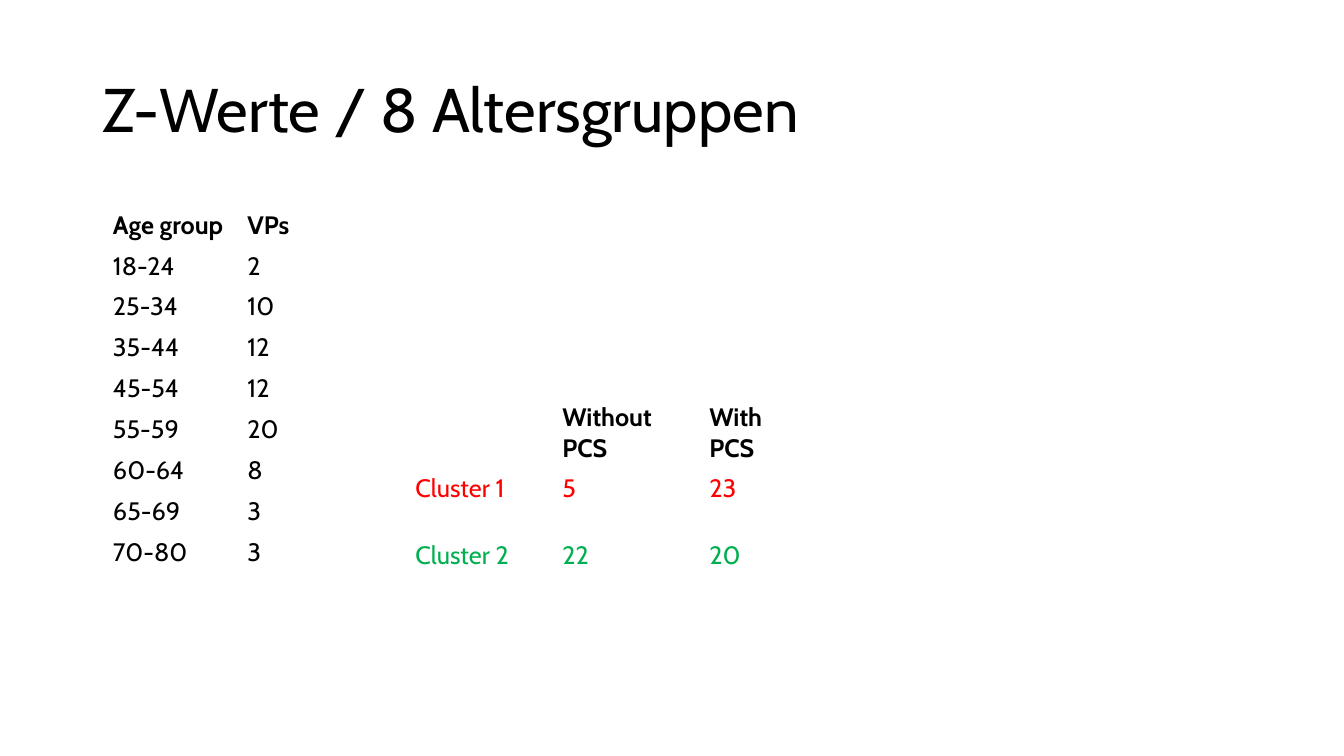
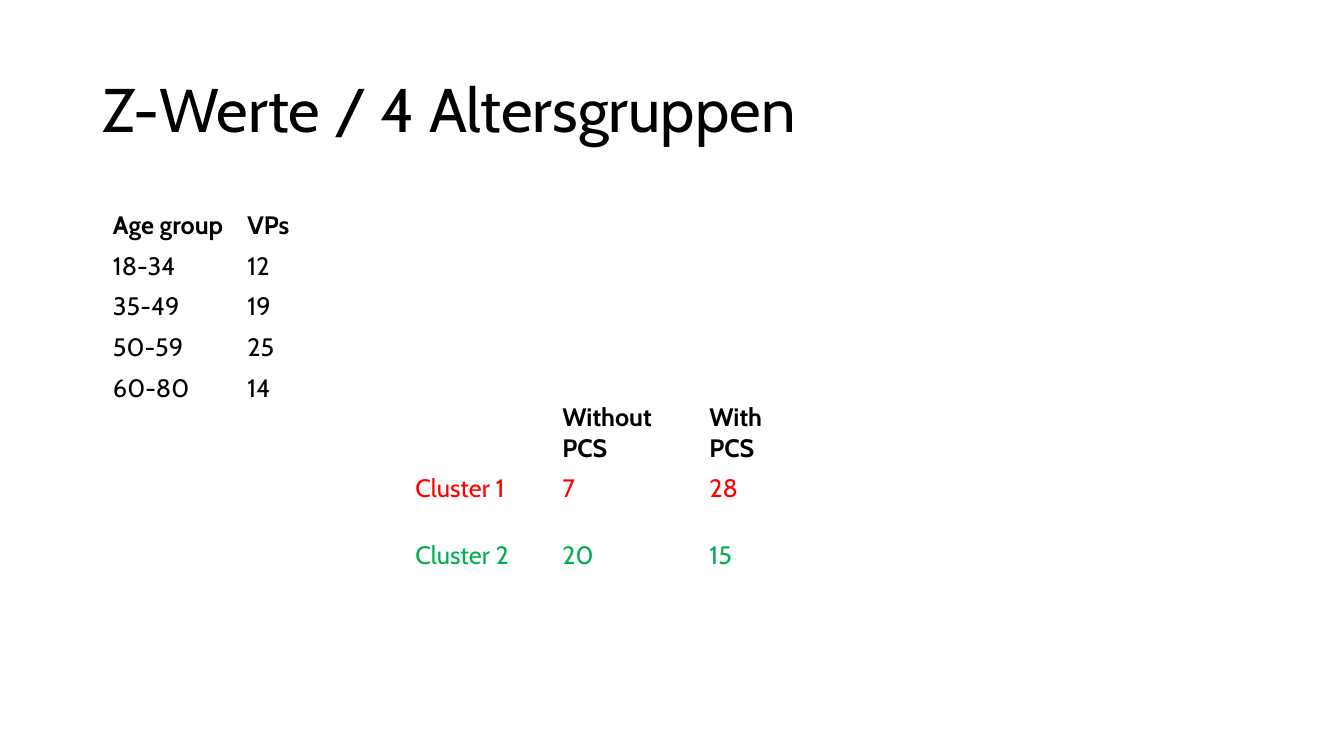
"""Build two slides comparing cluster counts for two age groupings."""
from dataclasses import dataclass

from pptx import Presentation
from pptx import slide as slides
from pptx import util as u
from pptx.dml import color
from pptx.enum import text
from pptx.text import text as texts

PX = 9525
FONT = "Cabin"
COLORS = {"ink": "000000", "cluster_1": "FF0000", "cluster_2": "00B050"}
CLUSTER_HEADER = ("", "Without\nPCS", "With\nPCS")
AGE_HEADER = ("Age group", "VPs")


@dataclass(frozen=True)
class Grid:
    """Position, column widths and row height of a table, in px."""

    left: int
    top: int
    columns: tuple[int, ...]
    row_height: int


@dataclass(frozen=True)
class Row:
    """Cell texts of one table row with their colour and weight."""

    cells: tuple[str, ...]
    ink: str = "ink"
    bold: bool = False


@dataclass(frozen=True)
class Grouping:
    """Title, age groups and cluster counts of one slide."""

    title: str
    ages: tuple[tuple[str, int], ...]
    clusters: tuple[tuple[int, int], ...]


CLUSTER_GRID = Grid(386, 378, (140, 140, 140), 63)
AGE_GRID = Grid(98, 195, (128, 63), 39)

GROUPINGS = (
    Grouping(
        "Z-Werte / 8 Altersgruppen",
        (("18-24", 2), ("25-34", 10), ("35-44", 12), ("45-54", 12),
         ("55-59", 20), ("60-64", 8), ("65-69", 3), ("70-80", 3)),
        ((5, 23), (22, 20)),
    ),
    Grouping(
        "Z-Werte / 4 Altersgruppen",
        (("18-34", 12), ("35-49", 19), ("50-59", 25), ("60-80", 14)),
        ((7, 28), (20, 15)),
    ),
)


def px(length: int) -> u.Emu:
    """Turn px into EMU."""
    return u.Emu(length * PX)


def write(para: texts._Paragraph, words: str, size: int,
          ink: str = "ink", bold: bool = False) -> None:
    """Add words to a paragraph, one run per line."""
    for number, line in enumerate(words.split("\n")):
        if number:
            para.add_line_break()
        span = para.add_run()
        span.text = line
        span.font.name = FONT
        span.font.size = u.Pt(size)
        span.font.bold = bold
        span.font.color.rgb = color.RGBColor.from_string(COLORS[ink])


def draw_title(page: slides.Slide, words: str) -> None:
    """Place and format the title placeholder."""
    box = page.shapes.title
    box.left, box.top, box.width, box.height = map(px, (88, 38, 1104, 139))
    frame = box.text_frame
    frame.auto_size = text.MSO_AUTO_SIZE.NONE
    frame.vertical_anchor = text.MSO_ANCHOR.MIDDLE
    para = frame.paragraphs[0]
    para.alignment = text.PP_ALIGN.LEFT
    para.line_spacing = 0.9
    write(para, words, 44)


def draw_table(page: slides.Slide, grid: Grid, rows: list[Row]) -> None:
    """Draw an unfilled table with one header row."""
    table = page.shapes.add_table(
        len(rows), len(grid.columns), px(grid.left), px(grid.top),
        px(sum(grid.columns)), px(grid.row_height * len(rows))).table
    table.horz_banding = False
    for column, width in zip(table.columns, grid.columns):
        column.width = px(width)
    for table_row, row in zip(table.rows, rows):
        table_row.height = px(grid.row_height)
        for cell, words in zip(table_row.cells, row.cells):
            cell.fill.background()
            if words:
                write(cell.text_frame.paragraphs[0], words, 18, row.ink, row.bold)


def draw_grouping(page: slides.Slide, grouping: Grouping) -> None:
    """Draw the title and both tables of one slide."""
    draw_title(page, grouping.title)
    clusters = [
        Row((f"Cluster {number}", *map(str, counts)), f"cluster_{number}")
        for number, counts in enumerate(grouping.clusters, 1)
    ]
    draw_table(page, CLUSTER_GRID, [Row(CLUSTER_HEADER, bold=True), *clusters])
    ages = [Row((group, str(count))) for group, count in grouping.ages]
    draw_table(page, AGE_GRID, [Row(AGE_HEADER, bold=True), *ages])


def main() -> None:
    """Build and save the deck."""
    deck = Presentation()
    deck.slide_width, deck.slide_height = px(1280), px(720)
    title_only = deck.slide_layouts.get_by_name("Title Only")
    for grouping in GROUPINGS:
        draw_grouping(deck.slides.add_slide(title_only), grouping)
    deck.save("out.pptx")


if __name__ == "__main__":
    main()
